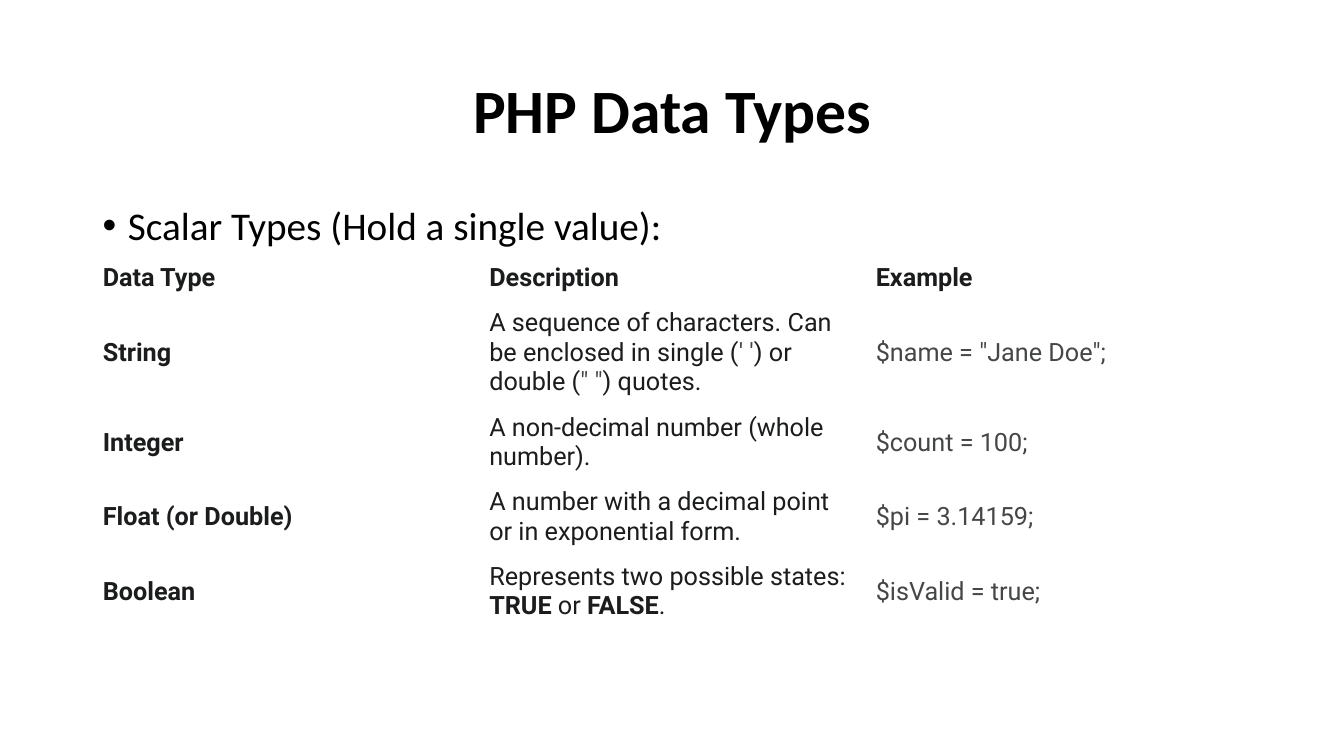
from dataclasses import dataclass

from lxml import etree
from pptx import Presentation
from pptx.dml.color import RGBColor
from pptx.enum.text import MSO_ANCHOR, PP_ALIGN
from pptx.oxml.ns import qn
from pptx.util import Inches, Pt

MIDDLE = MSO_ANCHOR.MIDDLE
CENTER = PP_ALIGN.CENTER
LEFT = PP_ALIGN.LEFT
TITLE_ONLY = 5


@dataclass(frozen=True)
class Theme:
    heading_font: str = "Calibri"
    table_font: str = "Roboto"
    black: str = "000000"
    ink: str = "1B1C1D"
    code: str = "444746"
    border: str = "FFFFFF"
    title_size: int = 44
    bullet_size: int = 28
    table_size: int = 18
    border_width: float = 0.6


THEME = Theme()

HEADERS = ["Data Type", "Description", "Example"]
# Each description is a list of (text, role) pieces.
SCALAR_TYPES = [
    ("String",
     [("A sequence of characters. Can be enclosed in single (", "plain"),
      ("' '", "code"), (") or double (", "plain"), ('" "', "code"),
      (") quotes.", "plain")],
     '$name = "Jane Doe";'),
    ("Integer", [("A non-decimal number (whole number).", "plain")],
     "$count = 100;"),
    ("Float (or Double)",
     [("A number with a decimal point or in exponential form.", "plain")],
     "$pi = 3.14159;"),
    ("Boolean",
     [("Represents two possible states: ", "plain"), ("TRUE", "strong"),
      (" or ", "plain"), ("FALSE", "strong"), (".", "plain")],
     "$isValid = true;"),
]
ROLES = {
    "plain": {"color": THEME.ink},
    "strong": {"color": THEME.ink, "bold": True},
    "code": {"color": THEME.code},
}


def add_text(paragraph, text, *, font, size, color, bold=False, align=LEFT,
             line_spacing=None):
    paragraph.alignment = align
    if line_spacing:
        paragraph.line_spacing = line_spacing
    run = paragraph.add_run()
    run.text = text
    run.font.name = font
    run.font.size = Pt(size)
    run.font.bold = bold
    run.font.color.rgb = RGBColor.from_string(color)


def add_bullet(paragraph, indent):
    properties = paragraph._p.get_or_add_pPr()
    properties.set("marL", str(indent))
    properties.set("indent", str(-indent))
    etree.SubElement(properties, qn("a:buFont")).set("typeface", "Arial")
    etree.SubElement(properties, qn("a:buChar")).set("char", "•")


def set_borders(cell):
    properties = cell._tc.get_or_add_tcPr()
    for position, side in enumerate(("a:lnL", "a:lnR", "a:lnT", "a:lnB")):
        line = etree.Element(qn(side), w=str(Pt(THEME.border_width)))
        fill = etree.SubElement(line, qn("a:solidFill"))
        etree.SubElement(fill, qn("a:srgbClr")).set("val", THEME.border)
        properties.insert(position, line)


def place_title(slide, left, top, width, height):
    title = slide.shapes.title
    title.left, title.top = Inches(left), Inches(top)
    title.width, title.height = Inches(width), Inches(height)
    title.text_frame.vertical_anchor = MIDDLE
    add_text(title.text_frame.paragraphs[0], "PHP Data Types",
             font=THEME.heading_font, size=THEME.title_size,
             color=THEME.black, bold=True, align=CENTER, line_spacing=0.9)


def place_lead(slide, left, top, width, height):
    lead = slide.shapes.add_textbox(Inches(left), Inches(top), Inches(width),
                                    Inches(height)).text_frame
    lead.word_wrap = True
    add_bullet(lead.paragraphs[0], Inches(0.25))
    add_text(lead.paragraphs[0], "Scalar Types (Hold a single value):",
             font=THEME.heading_font, size=THEME.bullet_size,
             color=THEME.black, line_spacing=0.9)


def fill_cell(cell, pieces):
    cell.vertical_anchor = MIDDLE
    cell.margin_left = cell.margin_right = Inches(0.1)
    cell.margin_top = cell.margin_bottom = Inches(0.07)
    cell.fill.background()
    set_borders(cell)
    for text, role in pieces:
        add_text(cell.text_frame.paragraphs[0], text, font=THEME.table_font,
                 size=THEME.table_size, **ROLES[role])


def place_types_table(slide, left, top, width):
    """Draw the table with each row as tall as its lines of text need."""
    row_heights = [0.43, 1.02, 0.72, 0.72, 0.72]
    table = slide.shapes.add_table(
        len(row_heights), len(HEADERS), Inches(left), Inches(top),
        Inches(width), Inches(sum(row_heights))).table
    table.first_row = table.horz_banding = False
    for row, height in zip(table.rows, row_heights):
        row.height = Inches(height)
    rows = [[[(header, "strong")] for header in HEADERS]]
    rows += [[[(name, "strong")], description, [(example, "code")]]
             for name, description, example in SCALAR_TYPES]
    for row, contents in zip(table.rows, rows):
        for cell, pieces in zip(row.cells, contents):
            fill_cell(cell, pieces)


def main():
    deck = Presentation()
    deck.slide_width, deck.slide_height = Inches(13.33), Inches(7.5)
    slide = deck.slides.add_slide(deck.slide_layouts[TITLE_ONLY])
    left, width = 0.92, 11.5
    place_title(slide, left, 0.4, width, 1.45)
    place_lead(slide, left, 2, width, 0.54)
    place_types_table(slide, left, 2.54, width)
    deck.save("out.pptx")


if __name__ == "__main__":
    main()
